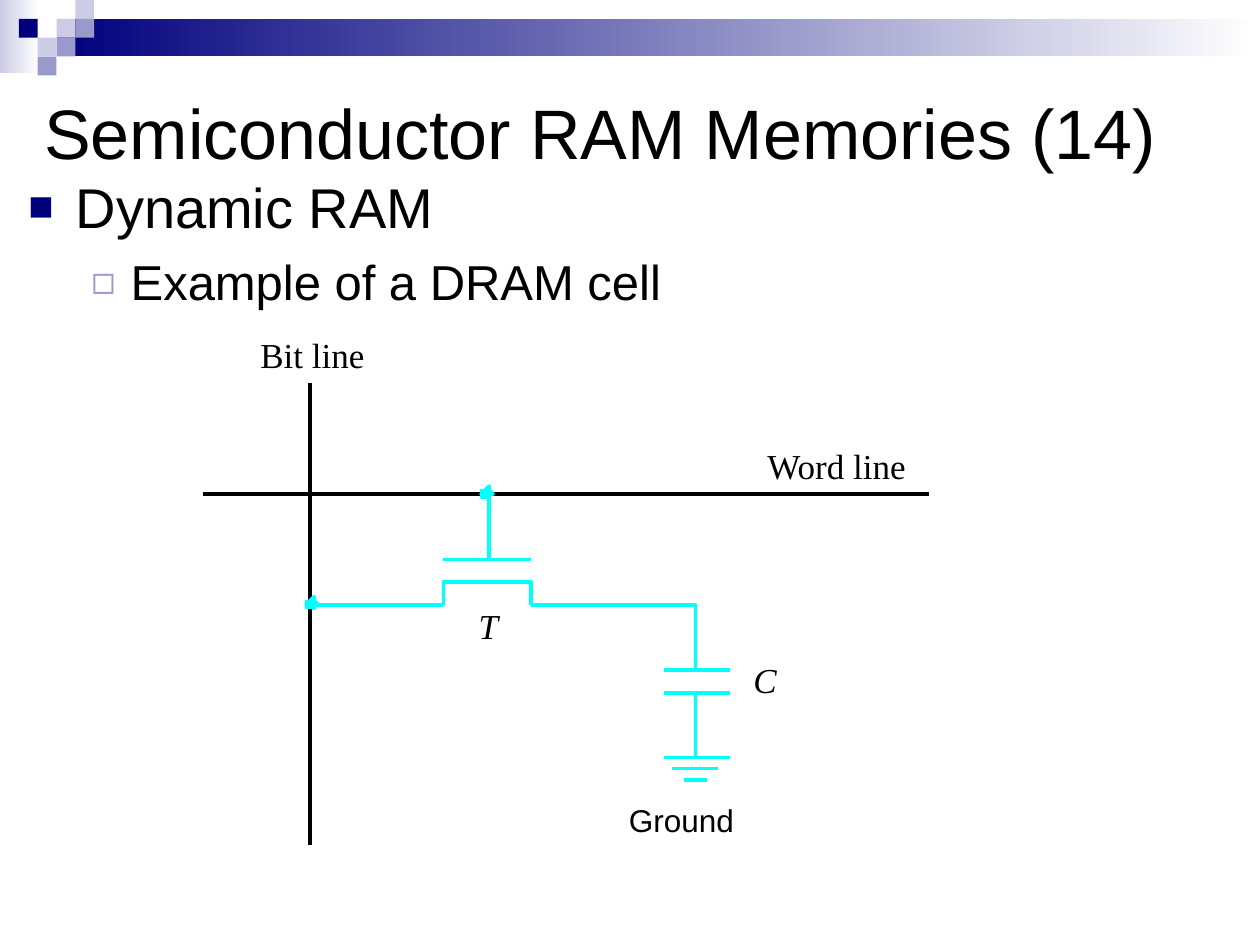
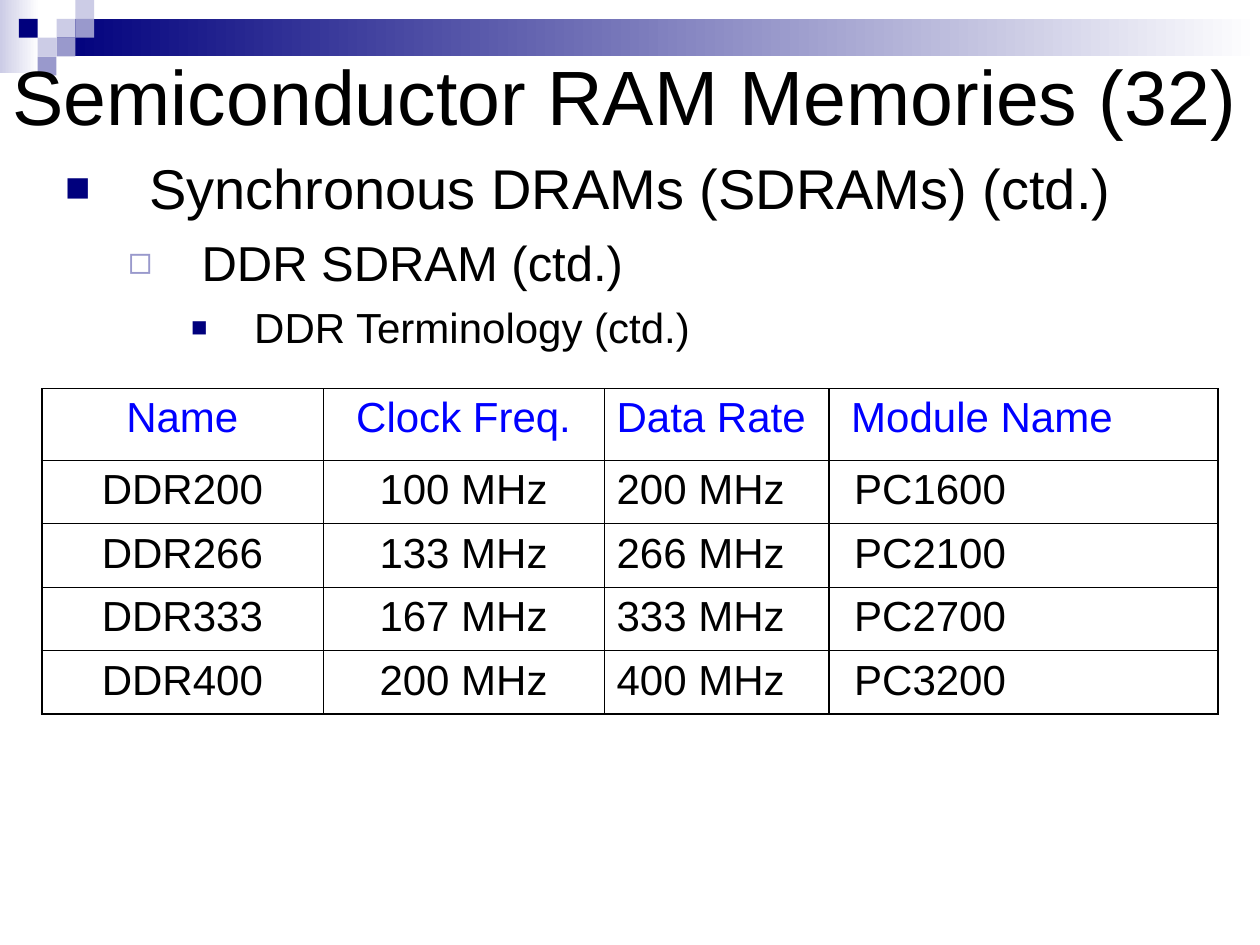
from lxml import etree
from pptx import Presentation
from pptx import util as u
from pptx.dml.color import RGBColor
from pptx.enum import shapes, text
from pptx.oxml import ns

NAVY = RGBColor(0x00, 0x00, 0x7D)
LAVENDER = RGBColor(0x99, 0x99, 0xCC)
PALE = RGBColor(0xCC, 0xCC, 0xE6)
WHITE = RGBColor(0xFF, 0xFF, 0xFF)
BLACK = RGBColor(0x00, 0x00, 0x00)
CYAN = RGBColor(0x00, 0xFF, 0xFF)
BLUE = RGBColor(0x00, 0x00, 0xFF)
SANS = "Arial"
SERIF = "Times New Roman"
WIRE_WIDTH = u.Pt(2.13)
LEVELS = [
    ("■", NAVY, 75, 32, 0),
    ("◻", LAVENDER, 80, 28, 7),
    ("■", NAVY, 65, 24, 6),
]

deck = Presentation()
deck.slide_width, deck.slide_height = u.Cm(25.4), u.Cm(19.05)


def add_page(heading, heading_size, heading_area, body_area, items):
    page = deck.slides.add_slide(deck.slide_layouts[1])
    title, body = page.placeholders
    for box, area in ((title, heading_area), (body, body_area)):
        box.left, box.top, box.width, box.height = map(u.Cm, area)
        box.text_frame.auto_size = text.MSO_AUTO_SIZE.NONE
    title.text_frame.text = heading
    title.text_frame.vertical_anchor = text.MSO_ANCHOR.MIDDLE
    para = title.text_frame.paragraphs[0]
    para.alignment = text.PP_ALIGN.LEFT
    para.font.name, para.font.size = SANS, u.Pt(heading_size)
    para.font.color.rgb = BLACK

    body.text_frame.text = "\n".join(item[0] for item in items)
    for level, (para, item) in enumerate(zip(body.text_frame.paragraphs, items)):
        symbol, color, percent, size, space = LEVELS[level]
        para.level = level
        props = para._p.get_or_add_pPr()
        props.set("marL", str(u.Cm(item[1])))
        props.set("indent", str(-u.Cm(item[2])))
        bullet_color = etree.SubElement(props, ns.qn("a:buClr"))
        etree.SubElement(bullet_color, ns.qn("a:srgbClr"), val=str(color))
        etree.SubElement(props, ns.qn("a:buSzPct"), val=str(percent * 1000))
        etree.SubElement(props, ns.qn("a:buFont"), typeface=SANS)
        etree.SubElement(props, ns.qn("a:buChar"), char=symbol)
        para.space_before = u.Pt(space)
        para.font.name, para.font.size = SANS, u.Pt(size)
        para.font.color.rgb = BLACK
    return page


def trace(page, points, closed=False):
    corners = [(u.Cm(x), u.Cm(y)) for x, y in points]
    builder = page.shapes.build_freeform(*corners[0])
    builder.add_line_segments(corners[1:], close=closed)
    outline = builder.convert_to_shape()
    outline.shadow.inherit = False
    outline.line.color.rgb = CYAN
    outline.line.width = WIRE_WIDTH
    outline.fill.background()
    return outline


cell_page = add_page(
    "Semiconductor RAM Memories (14)", 40,
    (0.64, 1.29, 24.33, 2.74), (0.32, 3.35, 24.08, 14.53),
    [("Dynamic RAM", 0.95, 0.95), ("Example of a DRAM cell", 2.06, 0.79)])

TILE = 0.38
bands = [((0, 0, 0.79, 1.47), PALE), ((3 * TILE, TILE, 24.26, 2 * TILE), NAVY)]
tiles = [(3, 1, PALE), (4, 0, PALE), (4, 1, LAVENDER), (2, 2, PALE),
         (1, 1, NAVY), (3, 2, LAVENDER), (2, 3, LAVENDER)]
decorations = []
for area, color in bands:
    band = cell_page.shapes.add_shape(shapes.MSO_SHAPE.RECTANGLE, *map(u.Cm, area))
    band.fill.gradient()
    band.fill.gradient_angle = 0
    for stop, shade, position in zip(band.fill.gradient_stops, (color, WHITE), (0, 1)):
        stop.color.rgb = shade
        stop.position = position
    decorations.append(band)
for column, row, color in tiles:
    tile = cell_page.shapes.add_shape(
        shapes.MSO_SHAPE.RECTANGLE,
        *map(u.Cm, (column * TILE, row * TILE, TILE, TILE)))
    tile.fill.solid()
    tile.fill.fore_color.rgb = color
    decorations.append(tile)
for index, decoration in enumerate(decorations):
    decoration.line.fill.background()
    decoration.shadow.inherit = False
    deck.slide_master.shapes.element.insert(2 + index, decoration.element)

labels = [
    ("T", (9.65, 12.19, 0.41, 0.84), SERIF, 20, True, 0, 0),
    ("C", (15.19, 13.27, 0.48, 0.84), SERIF, 20, True, 0, 0),
    ("Word line", (15.47, 8.97, 2.84, 0.84), SERIF, 20, False, 0, 0),
    ("Bit line", (5.25, 6.73, 2.11, 0.84), SERIF, 20, False, 0, 0),
    ("Ground", (12.43, 16.01, 3.63, 1.02), SANS, 18, False, 0.25, 0.13),
]
for label, area, font, size, italic, side, edge in labels:
    frame = cell_page.shapes.add_textbox(*map(u.Cm, area)).text_frame
    frame.margin_left = frame.margin_right = u.Cm(side)
    frame.margin_top = frame.margin_bottom = u.Cm(edge)
    frame.word_wrap = side > 0
    frame.text = label
    para = frame.paragraphs[0]
    para.font.name, para.font.size, para.font.italic = font, u.Pt(size), italic
    para.font.color.rgb = BLACK

wires = [
    (18.72, 9.96, 4.09, 9.96, BLACK),
    (6.25, 17.04, 6.25, 7.72, BLACK),
    (9.86, 11.28, 9.86, 9.96, CYAN),
    (8.94, 12.19, 6.25, 12.19, CYAN),
    (10.71, 11.28, 8.94, 11.28, CYAN),
    (14.02, 15.27, 14.02, 13.97, CYAN),
]
plates = [(13.5, 14.05, 0.66), (13.97, 14.05, 0.66), (15.27, 14.05, 0.66),
          (15.49, 14.01, 0.47), (15.72, 14.02, 0.23)]
wires += [(center + half, y, center - half, y, CYAN) for y, center, half in plates]
for *ends, color in wires:
    wire = cell_page.shapes.add_connector(
        shapes.MSO_CONNECTOR.STRAIGHT, *map(u.Cm, ends))
    wire.line.color.rgb = color
    wire.line.width = WIRE_WIDTH
    etree.SubElement(wire.element.spPr, ns.qn("a:effectLst"))

trace(cell_page, [(8.94, 12.19), (8.94, 11.73), (10.71, 11.73), (10.71, 12.19)])
trace(cell_page, [(14.02, 13.49), (14.02, 12.19), (10.71, 12.19)])

DOT_STEP = 0.08
square = [(-1, -1), (1, -1), (1, 1), (-1, 1)]
star = [(1, -2), (0, -1), (-1, 0), (0, 0), (1, 1), (1, 0), (2, 0), (1, -1)]
for x, y in ((6.25, 12.19), (9.78, 9.96)):
    core, rim = [
        trace(cell_page, [(x + dx * DOT_STEP, y + dy * DOT_STEP) for dx, dy in offsets], True)
        for offsets in (square, star)]
    core.fill.solid()
    core.fill.fore_color.rgb = CYAN
    core.line.width = 0

terms_page = add_page(
    "Semiconductor RAM Memories (32)", 44,
    (0, 0.85, 25.4, 2.11), (1.06, 2.96, 23.5, 15.44),
    [("Synchronous DRAMs (SDRAMs) (ctd.)", 1.69, 1.69),
     ("DDR SDRAM (ctd.)", 2.75, 1.48),
     ("DDR Terminology (ctd.)", 3.81, 1.27)])

rows = [
    ("Name", "Clock Freq.", "Data Rate\tModule Name"),
    ("DDR200", "100 MHz", "200 MHz\tPC1600"),
    ("DDR266", "133 MHz", "266 MHz\tPC2100"),
    ("DDR333", "167 MHz", "333 MHz\tPC2700"),
    ("DDR400", "200 MHz", "400 MHz\tPC3200"),
]
widths = [5.67, 5.67, 12.38]
heights = [1.45] + [1.28] * 4
table = terms_page.shapes.add_table(
    len(rows), len(widths),
    *map(u.Cm, (0.84, 7.83, sum(widths), sum(heights)))).table
table.first_row = table.horz_banding = False
for column, width in zip(table.columns, widths):
    column.width = u.Cm(width)
for r, (row, height) in enumerate(zip(rows, heights)):
    table.rows[r].height = u.Cm(height)
    for c, value in enumerate(row):
        cell = table.cell(r, c)
        cell.fill.background()
        cell.margin_left = cell.margin_right = u.Cm(0.25)
        cell.margin_top = cell.margin_bottom = u.Cm(0.13)
        cell.text = value
        para = cell.text_frame.paragraphs[0]
        para.alignment = text.PP_ALIGN.CENTER if c < 2 else text.PP_ALIGN.LEFT
        if c == 2:
            tabs = etree.SubElement(para._p.get_or_add_pPr(), ns.qn("a:tabLst"))
            module_start = u.Cm(4.73 if r == 0 else 4.79)
            etree.SubElement(tabs, ns.qn("a:tab"), pos=str(module_start), algn="l")
        para.font.name, para.font.size = SANS, u.Pt(24)
        para.font.color.rgb = BLUE if r == 0 else BLACK
        heavy = {"L": c == 0, "R": c == len(row) - 1, "T": False, "B": r == len(rows) - 1}
        props = cell._tc.get_or_add_tcPr()
        for index, (side, is_heavy) in enumerate(heavy.items()):
            border = etree.Element(
                ns.qn(f"a:ln{side}"), w=str(u.Pt(1.08 if is_heavy else 0.45)))
            fill = etree.SubElement(border, ns.qn("a:solidFill"))
            etree.SubElement(fill, ns.qn("a:srgbClr"), val=str(BLACK))
            props.insert(index, border)

divider = terms_page.shapes.add_connector(
    shapes.MSO_CONNECTOR.STRAIGHT, *map(u.Cm, (16.71, 7.83, 16.71, 14.4)))
divider.line.color.rgb = BLACK
divider.line.width = u.Pt(0.75)
etree.SubElement(divider.element.spPr, ns.qn("a:effectLst"))

deck.save("out.pptx")
